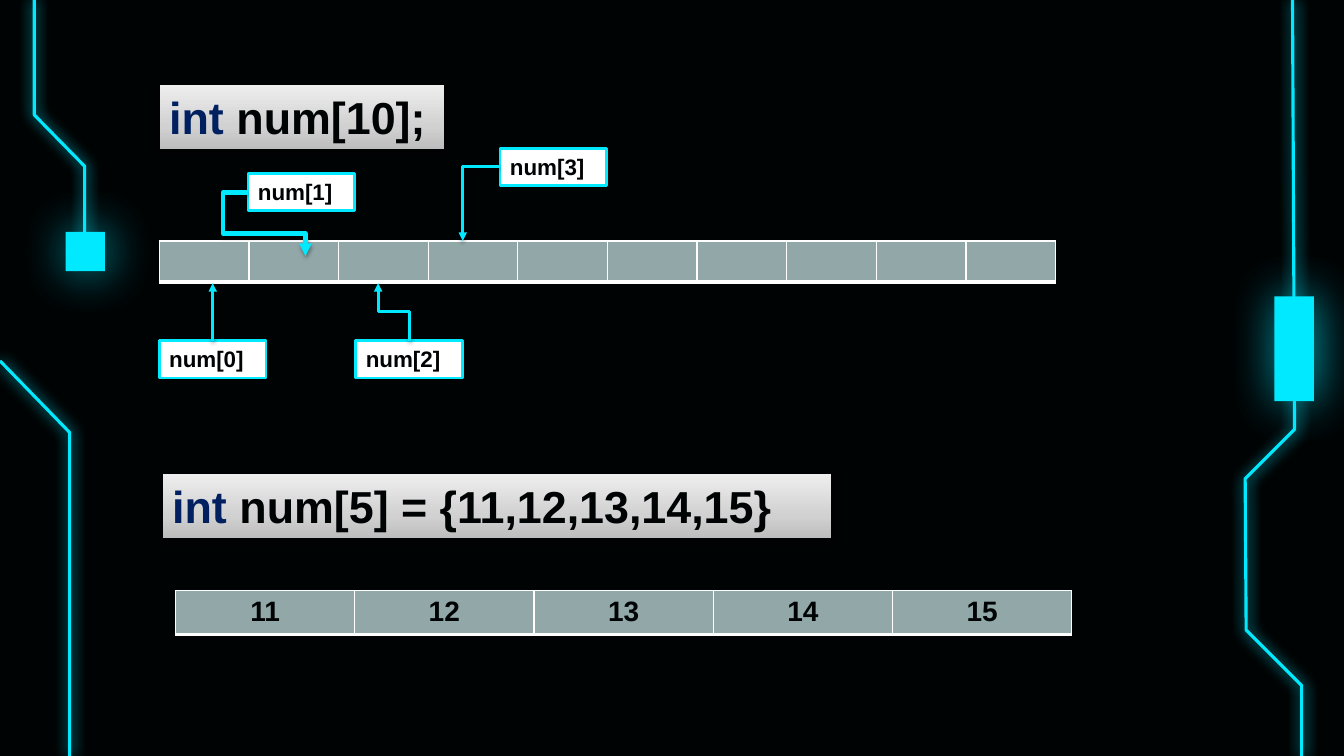
from copy import deepcopy
from dataclasses import dataclass

from lxml.etree import SubElement
from pptx import Presentation
from pptx.dml.color import RGBColor
from pptx.enum.shapes import MSO_CONNECTOR, MSO_SHAPE
from pptx.enum.text import MSO_AUTO_SIZE, PP_ALIGN
from pptx.oxml import parse_xml
from pptx.oxml.ns import nsdecls, qn
from pptx.util import Inches, Pt

CYAN = "00E9FF"
BLACK = "000304"
NAVY = "002060"
WHITE = "FFFFFF"
GREY = "91A7A8"
FONT = "Arial"


@dataclass
class Glow:
    hue: str
    alpha: int
    blur: float
    dist: float = 0
    turn: int = 0


@dataclass
class Block:
    left: float
    top: float
    width: float
    height: float


@dataclass
class Code:
    box: Block
    rest: str


@dataclass
class Label:
    index: int
    left: float
    top: float


@dataclass
class Wire:
    """Ends are those of the unturned frame."""
    start: tuple[float, float]
    end: tuple[float, float]
    preset: str
    adjust: tuple[int, ...] = ()
    turn: int = 0
    weight: float = 2


@dataclass
class Grid:
    left: float
    top: float
    height: float
    values: list[str]


TRACE_GLOW = Glow(CYAN, 100, 10.1)
NODE_GLOW = Glow(CYAN, 70, 36, 1.5)
DROP = Glow("000000", 38, 3.1, 1.6, 90)

TRACES = [
    [(12.82, 0), (12.84, 4.26), (12.35, 4.75), (12.36, 6.25), (12.91, 6.8), (12.91, 7.5)],
    [(0.34, 0), (0.34, 1.14), (0.84, 1.65), (0.84, 2.47)],
    [(0, 3.58), (0.69, 4.29), (0.69, 7.5)],
]
NODES = [Block(12.64, 2.94, 0.39, 1.04), Block(0.65, 2.3, 0.39, 0.39)]
CODES = [
    Code(Block(1.58, 0.84, 2.83, 0.64), " num[10];"),
    Code(Block(1.61, 4.7, 6.64, 0.64), " num[5] = {11,12,13,14,15}"),
]
GRIDS = [
    Grid(1.58, 2.39, 0.41, [""] * 10),
    Grid(1.74, 5.86, 0.43, ["11", "12", "13", "14", "15"]),
]
LABELS = [Label(0, 1.58, 3.38), Label(1, 2.46, 1.72), Label(2, 3.53, 3.38), Label(3, 4.96, 1.47)]
WIRES = [
    Wire((2.11, 3.38), (2.11, 2.81), "line"),
    Wire((2.46, 1.91), (3.03, 2.54), "bentConnector4", (-44100, 64600), weight=3),
    Wire((3.62, 3.25), (4.19, 2.94), "bentConnector3", (50000,), turn=270),
    Wire((4.96, 1.65), (4.59, 2.39), "bentConnector2"),
]


def rgb(hue: str) -> RGBColor:
    return RGBColor.from_string(hue)


def frame(box: Block) -> list[int]:
    return [Inches(n) for n in (box.left, box.top, box.width, box.height)]


def stroke(shape, hue: str, weight: float) -> None:
    shape.line.color.rgb = rgb(hue)
    shape.line.width = Pt(weight)


def light(shape, glow: Glow) -> None:
    """Add an outer shadow; call it after fill and line are set."""
    shape._element.spPr.append(parse_xml(
        f'<a:effectLst {nsdecls("a")}><a:outerShdw blurRad="{Pt(glow.blur)}" '
        f'dist="{Pt(glow.dist)}" dir="{glow.turn * 60000}" algn="ctr" rotWithShape="0">'
        f'<a:srgbClr val="{glow.hue}"><a:alpha val="{glow.alpha * 1000}"/></a:srgbClr>'
        '</a:outerShdw></a:effectLst>'))


def draw_trace(slide, points: list[tuple[float, float]]) -> None:
    first, *rest = [(Inches(x), Inches(y)) for x, y in points]
    pen = slide.shapes.build_freeform(*first)
    pen.add_line_segments(rest, close=False)
    trace = pen.convert_to_shape()
    trace.fill.background()
    stroke(trace, CYAN, 2.25)
    light(trace, TRACE_GLOW)


def draw_node(slide, box: Block) -> None:
    node = slide.shapes.add_shape(MSO_SHAPE.RECTANGLE, *frame(box))
    node.fill.solid()
    node.fill.fore_color.rgb = rgb(CYAN)
    node.line.fill.background()
    light(node, NODE_GLOW)


def style(para, size: int) -> None:
    para.font.name = FONT
    para.font.size = Pt(size)
    para.font.bold = True
    para.font.color.rgb = rgb(BLACK)


def draw_code(slide, code: Code) -> None:
    box = slide.shapes.add_textbox(*frame(code.box))
    box.fill.gradient()
    box.fill.gradient_angle = 90
    last = box.fill._fill._gradFill.gsLst[-1]
    last.addprevious(deepcopy(last))
    tones = [(0, "BDBDBD"), (0.35, "D1D1D1"), (1, "EEEEEE")]
    for stop, (place, hue) in zip(box.fill.gradient_stops, tones):
        stop.position = place
        stop.color.rgb = rgb(hue)
    stroke(box, BLACK, 0.75)
    light(box, DROP)
    box.text_frame.word_wrap = True
    para = box.text_frame.paragraphs[0]
    style(para, 32)
    for text, hue in (("int", NAVY), (code.rest, BLACK)):
        run = para.add_run()
        run.text = text
        run.font.color.rgb = rgb(hue)


def draw_label(slide, label: Label) -> None:
    box = slide.shapes.add_textbox(*frame(Block(label.left, label.top, 1.06, 0.37)))
    box.fill.solid()
    box.fill.fore_color.rgb = rgb(WHITE)
    stroke(box, CYAN, 2)
    box.text_frame.word_wrap = True
    box.text_frame.auto_size = MSO_AUTO_SIZE.SHAPE_TO_FIT_TEXT
    box.text_frame.text = f"num[{label.index}]"
    style(box.text_frame.paragraphs[0], 16)


def draw_wire(slide, wire: Wire) -> None:
    ends = [Inches(n) for n in (*wire.start, *wire.end)]
    link = slide.shapes.add_connector(MSO_CONNECTOR.ELBOW, *ends)
    stroke(link, CYAN, wire.weight)
    props = link._element.spPr
    if wire.turn:
        props.find(qn("a:xfrm")).set("rot", str(wire.turn * 60000))
    geom = props.find(qn("a:prstGeom"))
    geom.set("prst", wire.preset)
    for i, value in enumerate(wire.adjust, 1):
        SubElement(geom.find(qn("a:avLst")), qn("a:gd"), name=f"adj{i}", fmla=f"val {value}")
    SubElement(props.find(qn("a:ln")), qn("a:tailEnd"), type="triangle")
    light(link, DROP)


def draw_grid(slide, grid: Grid) -> None:
    box = Block(grid.left, grid.top, 8.89, grid.height)
    table = slide.shapes.add_table(1, len(grid.values), *frame(box)).table
    table.first_row = table.horz_banding = False
    for cell, value in zip(table.iter_cells(), grid.values):
        cell.text = value
        para = cell.text_frame.paragraphs[0]
        para.alignment = PP_ALIGN.CENTER
        style(para, 20 if value else 18)
        props = cell._tc.get_or_add_tcPr()
        for side, weight in (("L", 1), ("R", 1), ("T", 1), ("B", 3)):
            edge = SubElement(props, qn(f"a:ln{side}"), w=str(Pt(weight)))
            SubElement(SubElement(edge, qn("a:solidFill")), qn("a:srgbClr"), val=WHITE)
        cell.fill.solid()
        cell.fill.fore_color.rgb = rgb(GREY)


def main() -> None:
    deck = Presentation()
    deck.slide_width, deck.slide_height = Inches(13.33), Inches(7.5)
    slide = deck.slides.add_slide(deck.slide_layouts[6])
    slide.background.fill.solid()
    slide.background.fill.fore_color.rgb = rgb(BLACK)
    for draw, items in ((draw_trace, TRACES), (draw_node, NODES), (draw_code, CODES),
                        (draw_grid, GRIDS), (draw_label, LABELS), (draw_wire, WIRES)):
        for item in items:
            draw(slide, item)
    deck.save("out.pptx")


if __name__ == "__main__":
    main()
